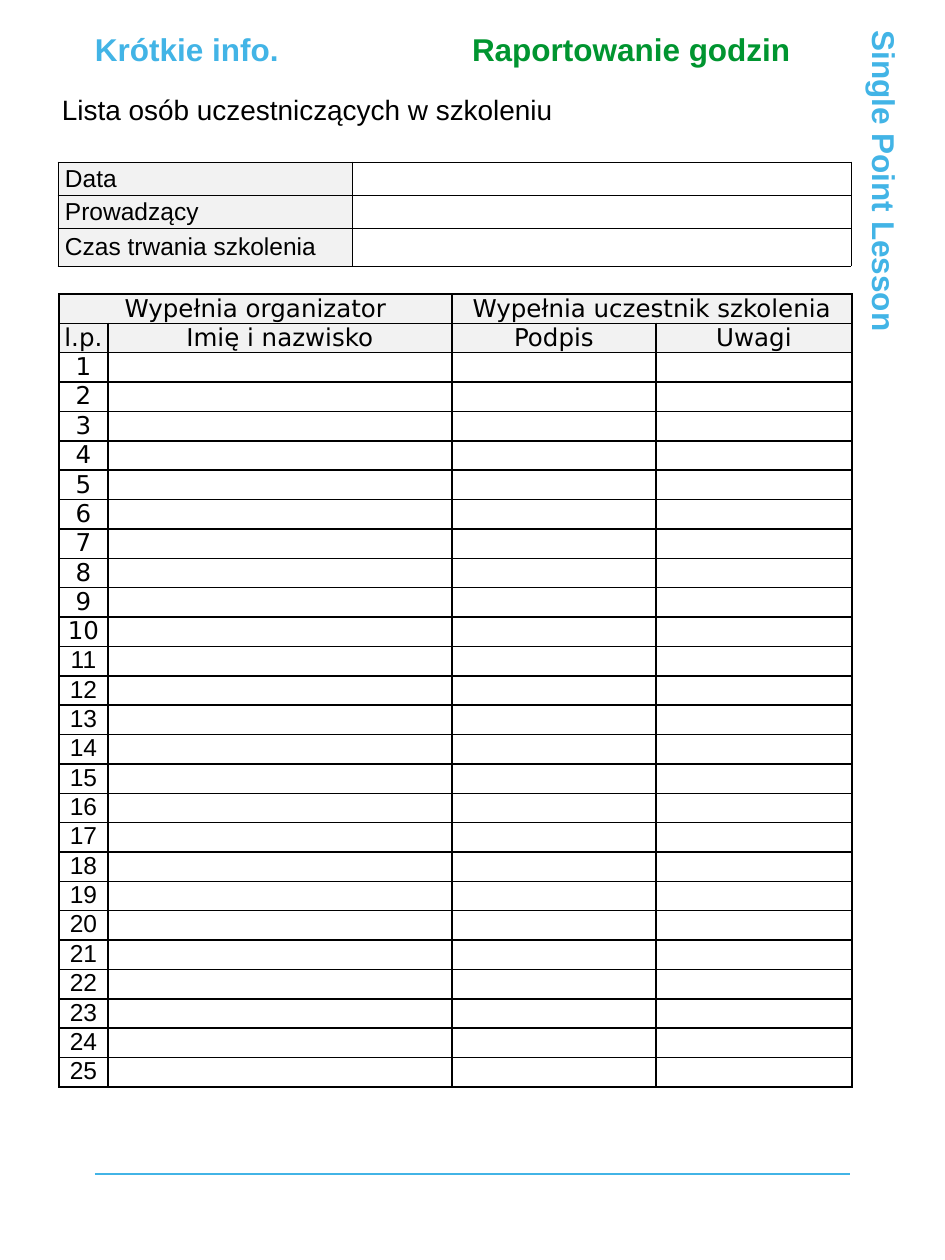
"""Build a training attendance sheet with a details table and a sign-in table."""
from dataclasses import dataclass

from lxml.etree import SubElement
from pptx import Presentation
from pptx.dml.color import RGBColor as Rgb
from pptx.enum.shapes import MSO_CONNECTOR as Connector
from pptx.enum.text import MSO_ANCHOR as Anchor, MSO_AUTO_SIZE as AutoSize, PP_ALIGN as Align
from pptx.oxml.ns import qn
from pptx.util import Emu, Pt


@dataclass(frozen=True)
class Theme:
    blue: str = "42B4E6"
    green: str = "009530"
    black: str = "000000"
    white: str = "FFFFFF"
    header: str = "F2F2F2"
    sans: str = "Arial"
    grid: str = "DejaVu Sans"
    heading: int = 18
    subtitle: int = 16
    body: int = 14


THEME = Theme()
PARTICIPANTS = 25
GRID_FONT_ROWS = 10


def px(length):
    return Emu(round(length * 914400 / 126))


def style_paragraph(para, size, color, name=THEME.sans, bold=False, align=Align.LEFT):
    para.alignment = align
    font = para.font
    font.size, font.name, font.bold = Pt(size), name, bold
    font.color.rgb = Rgb.from_string(color)


def fill_frame(frame, text, size, color, bold=False):
    frame.margin_left = frame.margin_right = frame.margin_top = frame.margin_bottom = 0
    frame.word_wrap = True
    frame.auto_size = AutoSize.NONE
    frame.vertical_anchor = Anchor.TOP
    frame.text = text
    style_paragraph(frame.paragraphs[0], size, color, bold=bold)


def place_title(slide, text, left, top, width, height):
    title = slide.shapes.title
    title.left, title.top, title.width, title.height = map(px, (left, top, width, height))
    fill_frame(title.text_frame, text, THEME.heading, THEME.green, bold=True)


def add_text(slide, text, left, top, width, height, size, color, bold=False):
    box = slide.shapes.add_textbox(*map(px, (left, top, width, height)))
    fill_frame(box.text_frame, text, size, color, bold)
    return box


def add_rule(slide, left, right, y):
    rule = slide.shapes.add_connector(Connector.STRAIGHT, px(left), px(y), px(right), px(y))
    rule.line.color.rgb = Rgb.from_string(THEME.blue)
    rule.line.width = Pt(1.5)
    SubElement(rule._element.spPr, qn("a:effectLst"))


def add_borders(cell, width):
    properties = cell._tc.get_or_add_tcPr()
    for side in ("lnL", "lnR", "lnT", "lnB"):
        line = SubElement(properties, qn(f"a:{side}"), w=str(Pt(width)))
        fill = SubElement(line, qn("a:solidFill"))
        SubElement(fill, qn("a:srgbClr"), val=THEME.black)


def add_plain_table(slide, left, top, columns, row_count, height, border, margin):
    frame = slide.shapes.add_table(
        row_count, len(columns), px(left), px(top), px(sum(columns)), px(height))
    table = frame.table
    table.first_row = table.horz_banding = False
    for column, width in zip(table.columns, columns):
        column.width = px(width)
    for cell in table.iter_cells():
        add_borders(cell, border)
        cell.fill.background()
        cell.margin_left = cell.margin_right = px(margin)
        cell.margin_top = cell.margin_bottom = 0
        para = cell.text_frame.paragraphs[0]
        style_paragraph(para, THEME.body, THEME.black)
        SubElement(para._p, qn("a:endParaRPr"), sz=str(THEME.body * 100))
    return table


def write_cell(cell, text, name=THEME.sans, align=Align.LEFT, header=False):
    cell.text = text
    style_paragraph(cell.text_frame.paragraphs[0], THEME.body, THEME.black, name, align=align)
    if header:
        cell.vertical_anchor = Anchor.MIDDLE
        cell.fill.solid()
        cell.fill.fore_color.rgb = Rgb.from_string(THEME.header)


def add_details_table(slide):
    heights = (33, 33, 38)
    labels = ("Data", "Prowadzący", "Czas trwania szkolenia")
    table = add_plain_table(slide, 58, 162, (294, 499), len(labels), sum(heights), 0.5, 7)
    for index, (label, height) in enumerate(zip(labels, heights)):
        table.rows[index].height = px(height)
        write_cell(table.cell(index, 0), label, header=True)


def add_sign_in_table(slide):
    columns = (49, 344, 204, 196)
    table = add_plain_table(slide, 59, 294, columns, PARTICIPANTS + 2, 794, 1, 4)
    for column, label in ((0, "Wypełnia organizator"), (2, "Wypełnia uczestnik szkolenia")):
        table.cell(0, column).merge(table.cell(0, column + 1))
        write_cell(table.cell(0, column), label, THEME.grid, Align.CENTER, header=True)
    for column, label in enumerate(("l.p.", "Imię i nazwisko", "Podpis", "Uwagi")):
        write_cell(table.cell(1, column), label, THEME.grid, Align.CENTER, header=True)
    for number in range(1, PARTICIPANTS + 1):
        name = THEME.grid if number <= GRID_FONT_ROWS else THEME.sans
        write_cell(table.cell(number + 1, 0), str(number), name, Align.CENTER)


def main():
    deck = Presentation()
    deck.slide_width, deck.slide_height = px(945), px(1260)
    slide = deck.slides.add_slide(deck.slide_layouts.get_by_name("Title Only"))
    place_title(slide, "Raportowanie godzin", 472, 30, 378, 57)
    add_text(slide, "Krótkie info.", 95, 30, 348, 38, THEME.heading, THEME.blue, bold=True)
    side = add_text(slide, "Single Point Lesson", 518, 378, 733, 38,
                    THEME.heading, THEME.blue, bold=True)
    side.rotation = 90
    side.fill.solid()
    side.fill.fore_color.rgb = Rgb.from_string(THEME.white)
    add_rule(slide, 95, 850, 1174)
    add_sign_in_table(slide)
    add_details_table(slide)
    add_text(slide, "Lista osób uczestniczących w szkoleniu", 62, 93, 769, 47,
             THEME.subtitle, THEME.black)
    deck.save("out.pptx")


if __name__ == "__main__":
    main()
